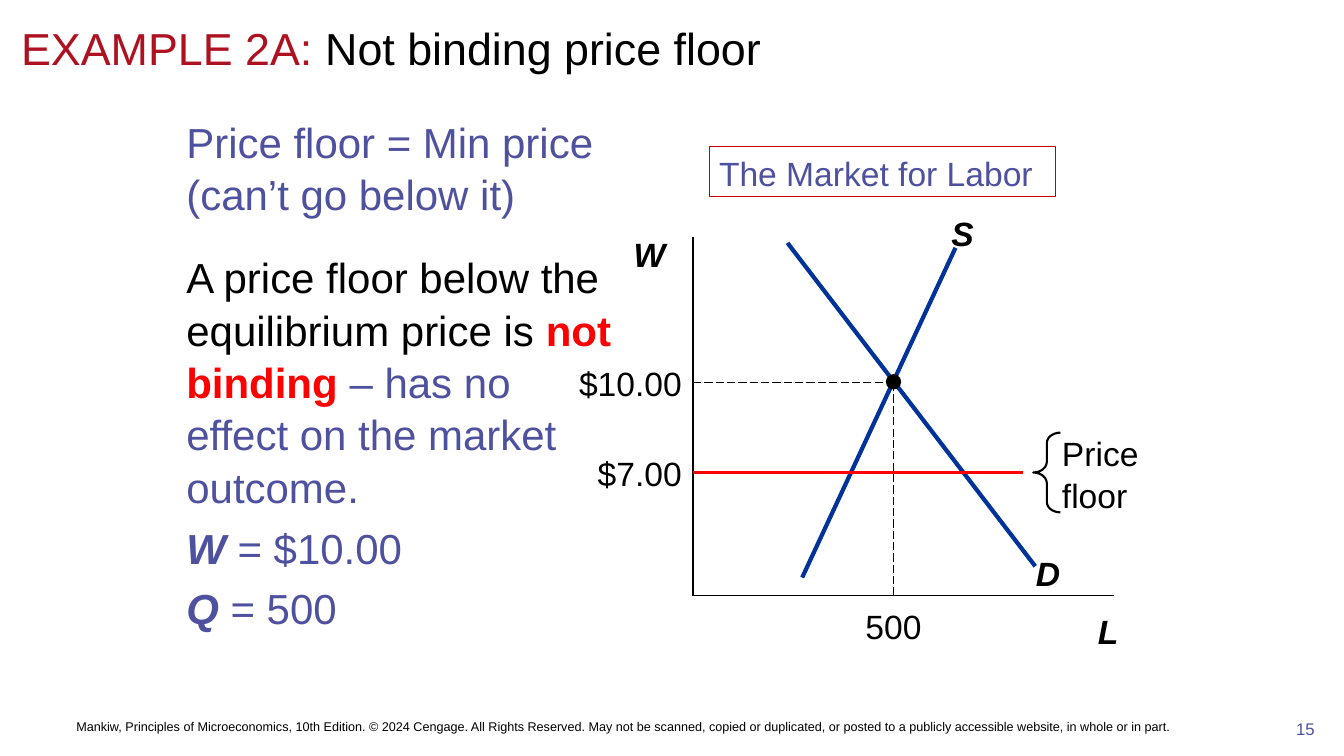
from dataclasses import dataclass

from lxml.etree import SubElement
from pptx import Presentation
from pptx.dml.color import RGBColor
from pptx.enum.dml import MSO_LINE
from pptx.enum.shapes import MSO_CONNECTOR, MSO_SHAPE
from pptx.enum.text import MSO_ANCHOR, PP_ALIGN
from pptx.oxml.ns import qn
from pptx.util import Pt


@dataclass(frozen=True)
class Theme:
    """Colours, font and type sizes of the slide."""
    font: str = "Arial"
    ink: str = "000000"
    crimson: str = "AE1221"
    violet: str = "4E519E"
    red: str = "FF0000"
    frame: str = "C00000"
    curve: str = "003399"
    title: float = 32
    body: float = 30
    label: float = 24
    number: float = 12
    footer: float = 9
    leading: float = 1.04


T = Theme()


def style(r, size, color, bold=False, italic=False):
    """Format one run."""
    f = r.font
    f.name, f.size, f.bold, f.italic = T.font, Pt(size), bold, italic
    f.color.rgb = RGBColor.from_string(color)


def add_text(s, box, text, size, color=T.ink, align=PP_ALIGN.LEFT, emphasis=False,
             inset=True, anchor=MSO_ANCHOR.TOP, leading=T.leading):
    """Add a text box with a single paragraph in one style."""
    sp = s.shapes.add_textbox(*map(Pt, box))
    tf = sp.text_frame
    tf.word_wrap = True
    tf.vertical_anchor = anchor
    if not inset:
        tf.margin_left = tf.margin_right = tf.margin_top = tf.margin_bottom = 0
    p = tf.paragraphs[0]
    p.text = text
    p.alignment, p.line_spacing = align, leading
    style(p.runs[0], size, color, emphasis, emphasis)
    return sp


def add_runs(p, runs, size):
    """Fill a paragraph with runs of text, colour, bold and italic."""
    for text, *look in runs:
        r = p.add_run()
        r.text = text
        style(r, size, *look)


def add_line(s, start, end, color=T.ink, width=1, dash=None):
    """Draw a straight line without a shadow."""
    sp = s.shapes.add_connector(MSO_CONNECTOR.STRAIGHT, *map(Pt, (*start, *end)))
    sp.line.color.rgb = RGBColor.from_string(color)
    sp.line.width = Pt(width)
    if dash:
        sp.line.dash_style = dash
    SubElement(sp._element.spPr, qn("a:effectLst"))


def add_title(s, box):
    """Place the two-coloured slide title."""
    tf = s.shapes.add_textbox(*map(Pt, box)).text_frame
    tf.word_wrap = True
    tf.vertical_anchor = MSO_ANCHOR.MIDDLE
    add_runs(tf.paragraphs[0], [("EXAMPLE 2A: ", T.crimson),
                                ("Not binding price floor", T.ink)], T.title)


def add_explanation(s, box):
    """Place the definition, the conclusion and the market outcome."""
    paragraphs = [
        (0, [("Price floor = Min price (can’t go below it)", T.violet)]),
        (22, [("A price floor below the equilibrium price is ", T.ink),
              ("not binding ", T.red, True),
              ("– has no effect on the market outcome.", T.violet)]),
        (6, [("W", T.violet, True, True), (" = $10.00", T.violet)]),
        (6, [("Q", T.violet, True, True), (" = 500", T.violet)]),
    ]
    tf = s.shapes.add_textbox(*map(Pt, box)).text_frame
    tf.word_wrap = True
    for i, (before, runs) in enumerate(paragraphs):
        p = tf.add_paragraph() if i else tf.paragraphs[0]
        p.space_before, p.line_spacing = Pt(before), T.leading
        add_runs(p, runs, T.body)


def add_market(s, box):
    """Draw the labor market with its price floor around the given plot box."""
    x, y, w, h = box
    right, bottom = x + w, y + h
    eq_x, eq_y, floor_y = x + 143.25, y + 104.25, y + 168.5

    add_line(s, (x, y), (x, bottom))
    add_line(s, (x, bottom), (right, bottom))
    add_line(s, (x + 67.5, y + 4.5), (x + 244.5, y + 235.5), T.curve, 3)
    add_line(s, (x + 78, y + 243.5), (x + 187.5, y + 8), T.curve, 3)
    for corner in ((x, eq_y), (eq_x, bottom)):
        add_line(s, corner, (eq_x, eq_y), width=0.75, dash=MSO_LINE.LONG_DASH)
    add_line(s, (x, floor_y), (x + 236, floor_y), T.red, 2.25)

    dot = s.shapes.add_shape(MSO_SHAPE.OVAL, *map(Pt, (eq_x - 5.5, eq_y - 6, 11, 11)))
    dot.shadow.inherit = False
    dot.fill.solid()
    dot.fill.fore_color.rgb = RGBColor.from_string(T.ink)
    dot.line.fill.background()

    brace = s.shapes.add_shape(MSO_SHAPE.LEFT_BRACE,
                               *map(Pt, (x + 243, floor_y - 28.5, 19.5, 57)))
    brace.adjustments[0] = 0.386
    brace.shadow.inherit = False
    brace.fill.background()
    brace.line.color.rgb = RGBColor.from_string(T.ink)
    brace.line.width = Pt(1.5)

    letters = [("W", x - 31, y - 6.5), ("L", right - 4.5, bottom + 6.5),
               ("D", x + 253.5, y + 221), ("S", x + 192.5, y - 21.5)]
    for letter, center, top in letters:
        add_text(s, (center - 20, top, 40, 36), letter, T.label,
                 align=PP_ALIGN.CENTER, emphasis=True)
    for price, level in (("$10.00", eq_y), ("$7.00", floor_y)):
        add_text(s, (x - 81.5, level - 15, 73.5, 29), price, T.label,
                 align=PP_ALIGN.RIGHT, inset=False)
    add_text(s, (eq_x - 34.5, bottom + 6, 69, 29), "500", T.label,
             align=PP_ALIGN.CENTER, inset=False)
    add_text(s, (x + 256.5, floor_y - 33, 88, 65.5), "Price floor", T.label)

    heading = add_text(s, (x + 11.5, y - 64.5, 247.5, 36), "The Market for Labor",
                       T.label, T.violet)
    heading.line.color.rgb = RGBColor.from_string(T.frame)
    heading.line.width = Pt(0.75)


def add_footer(s, box):
    """Place the copyright line and the page number."""
    x, y, w, h = box
    add_text(s, (x, y, 872, h),
             "Mankiw, Principles of Microeconomics, 10th Edition. © 2024 Cengage. "
             "All Rights Reserved. May not be scanned, copied or duplicated, or posted "
             "to a publicly accessible website, in whole or in part.",
             T.footer, anchor=MSO_ANCHOR.MIDDLE, leading=1)
    add_text(s, (x + w - 55, y + 11.5, 55, 29.5), "15", T.number, T.violet,
             PP_ALIGN.CENTER, leading=1)


def main():
    """Build and save the slide."""
    prs = Presentation()
    prs.slide_width, prs.slide_height = Pt(960), Pt(540)
    s = prs.slides.add_slide(prs.slide_layouts[6])
    add_title(s, (8, 8, 936, 52))
    add_explanation(s, (126, 78, 325, 432))
    add_market(s, (495, 169, 301, 256.5))
    add_footer(s, (47.5, 498, 912.5, 42))
    prs.save("out.pptx")


if __name__ == "__main__":
    main()
